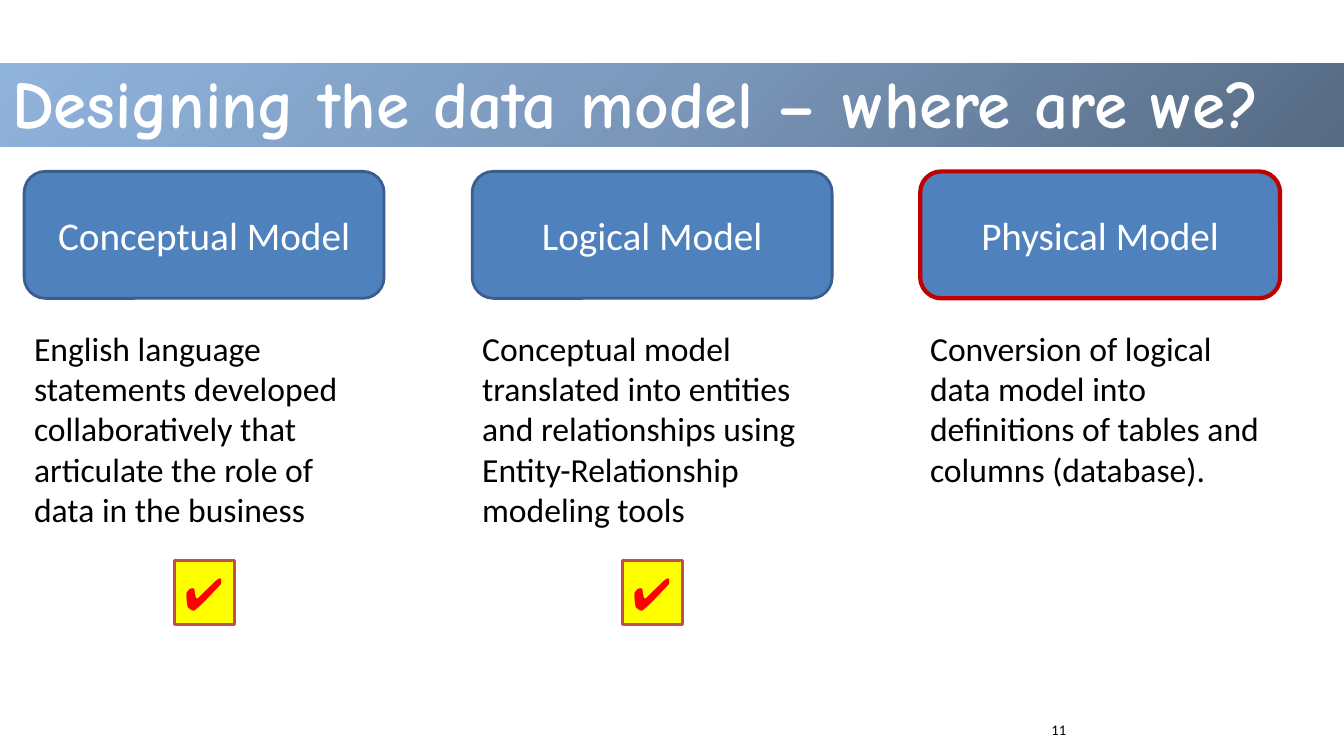
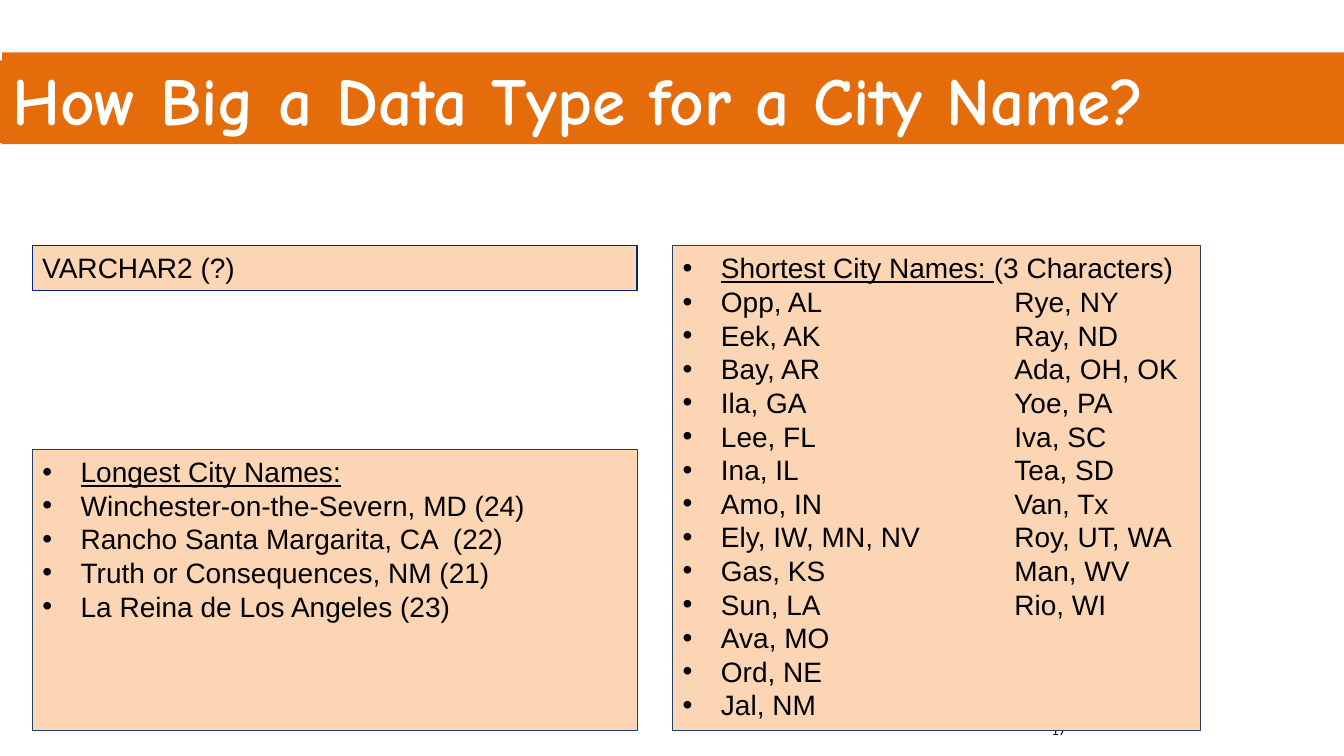
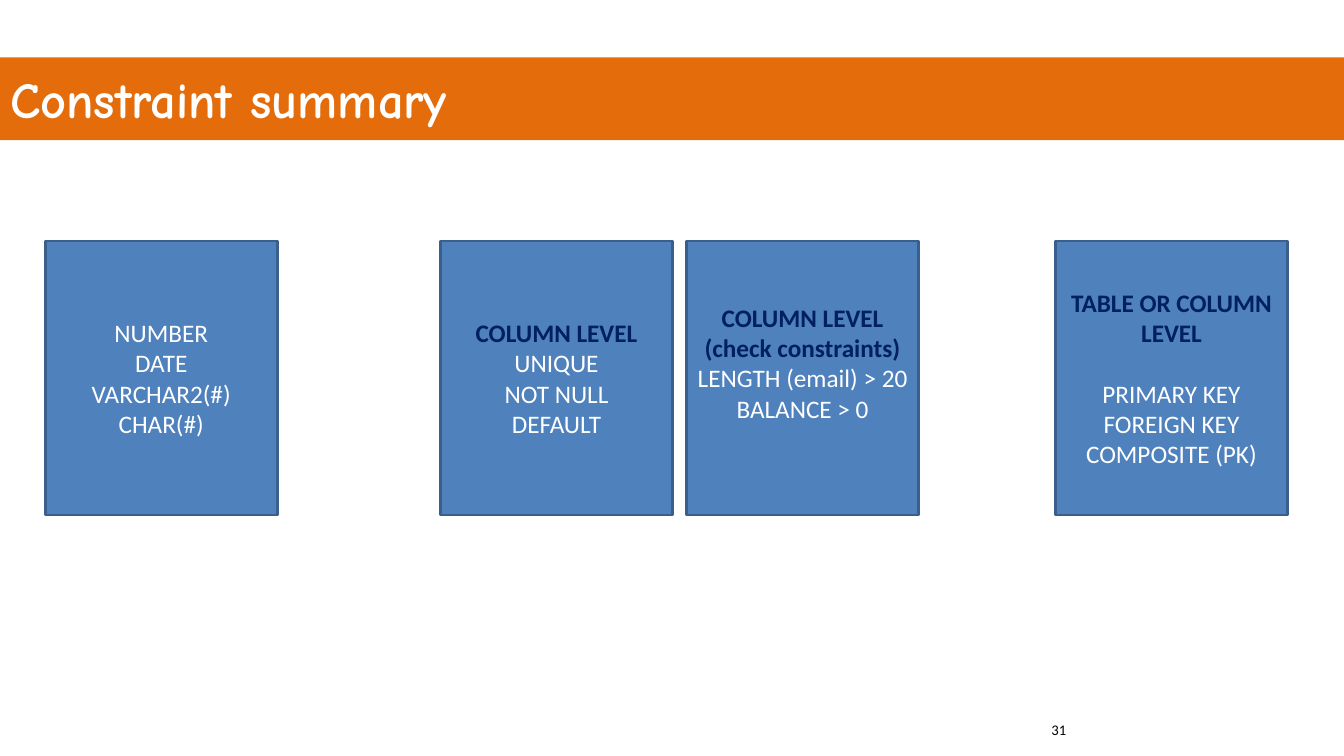
from collections import namedtuple

from pptx import Presentation
from pptx.dml.color import RGBColor
from pptx.enum.shapes import MSO_SHAPE
from pptx.enum.text import MSO_ANCHOR, MSO_AUTO_SIZE, PP_ALIGN
from pptx.oxml import parse_xml
from pptx.oxml.ns import nsdecls, qn
from pptx.util import Inches, Pt

RECT, ROUND = MSO_SHAPE.RECTANGLE, MSO_SHAPE.ROUNDED_RECTANGLE
TOP, MID = MSO_ANCHOR.TOP, MSO_ANCHOR.MIDDLE
LEFT, CENTER = PP_ALIGN.LEFT, PP_ALIGN.CENTER
FIXED = MSO_AUTO_SIZE.NONE

HUE = {
    "white": "FFFFFF", "black": "000000", "blue": "4F81BD", "edge": "3A5F8C",
    "mark": "C00000", "orange": "E46C0A", "peach": "FCD5B5", "slate": "254061",
    "navy": "002A7E", "ink": "002060", "yellow": "FFFF00", "brick": "C0504D",
    "red": "FF0000",
}
FADE = [(0, "566A83"), (50, "7A97BA"), (100, "90B3DC")]
HAND, SANS, PLAIN = "Comic Neue", "Calibri", "Arial"

Box = namedtuple("Box", "x y w h")
PAGE = Box(0, 0, Inches(13.33), Inches(7.5))
HANG = Inches(0.38)
TAB = Inches(3.29)
LINE = Pt(22)


def part(box, x, y, w, h):
    """Return the part of a box given by percentages of its size."""
    return Box(int(box.x + box.w * x / 100), int(box.y + box.h * y / 100),
               int(box.w * w / 100), int(box.h * h / 100))


def rgb(name):
    """Look up a palette colour."""
    return RGBColor.from_string(HUE[name])


def paint(shape, fill, line=None, width=1):
    """Set the fill and outline of a shape."""
    shape.fill.solid()
    shape.fill.fore_color.rgb = rgb(fill)
    if line:
        shape.line.color.rgb = rgb(line)
        shape.line.width = Pt(width)
    else:
        shape.line.fill.background()


def block(slide, box, fill, line=None, width=1, kind=RECT):
    """Add a flat preset shape."""
    shape = slide.shapes.add_shape(kind, *box)
    shape.shadow.inherit = False
    paint(shape, fill, line, width)
    return shape


def style(para, face, size, hue, bold=False, align=LEFT):
    """Format a whole paragraph."""
    para.alignment = align
    para.font.name = face
    para.font.size = Pt(size)
    para.font.bold = bold
    para.font.color.rgb = rgb(hue)


def write(shape, text, face, size, hue, bold=False, align=LEFT, anchor=TOP):
    """Put wrapped text of one style into a shape."""
    frame = shape.text_frame
    frame.text = text
    frame.word_wrap = True
    frame.auto_size = FIXED
    frame.vertical_anchor = anchor
    for para in frame.paragraphs:
        style(para, face, size, hue, bold, align)


def note(slide, box, text, size):
    """Add a plain black text box."""
    shape = slide.shapes.add_textbox(*box)
    write(shape, text, SANS, size, "black")
    return shape


def blend(shape):
    """Fill a shape with the blue fade from its lower right corner."""
    stops = "".join(f'<a:gs pos="{pos * 1000}"><a:srgbClr val="{hue}"/></a:gs>'
                    for pos, hue in FADE)
    shape.fill.background()
    old = shape.element.spPr.find(qn("a:noFill"))
    old.getparent().replace(old, parse_xml(
        f'<a:gradFill {nsdecls("a")} rotWithShape="1"><a:gsLst>{stops}</a:gsLst>'
        '<a:path path="circle"><a:fillToRect l="100000" t="100000"/></a:path>'
        '</a:gradFill>'))


def start(deck, layout, text, page, box, size=48, fill=None):
    """Add a slide with its title and page number."""
    slide = deck.slides.add_slide(deck.slide_layouts[layout])
    title = slide.shapes.title
    title.left, title.top, title.width, title.height = box
    write(title, text, HAND, size, "white", True, anchor=MID)
    if fill:
        paint(title, fill)
    num = note(slide, part(PAGE, 77.5, 94.7, 22.5, 5.3), page, 10.5)
    title.element.addnext(num.element)
    return slide


def band(slide, y):
    """Add a full-width band behind the title."""
    shape = block(slide, part(PAGE, 0, y, 100, 10.93), "orange")
    slide.shapes.title.element.addprevious(shape.element)
    return shape


def stage(slide, box, name, text, done):
    """Draw one model stage in its column."""
    line, width = ("edge", 2) if done else ("mark", 3)
    head = block(slide, part(box, 5.4, 22.67, 80.35, 16.8),
                 "blue", line, width, ROUND)
    write(head, name, SANS, 28, "white", align=CENTER, anchor=MID)
    note(slide, part(box, 5.4, 42.67, 80.35, 28.27), text, 24)
    if done:
        tick = block(slide, part(box, 38.94, 74.13, 13.5, 8.53),
                     "yellow", "brick", 2.25)
        write(tick, "✔️", PLAIN, 32, "red")


def roster(shape, box, head, rest, rows):
    """Fill a body placeholder with a bulleted list of cities."""
    shape.left, shape.top, shape.width, shape.height = box
    paint(shape, "peach", "slate", 0.75)
    write(shape, "\n".join([head + rest] + rows), PLAIN, 20, "black")
    for para in shape.text_frame.paragraphs:
        para.space_before = Pt(0)
        props = para.font and para._p.get_or_add_pPr()
        props.set("marL", str(HANG))
        props.set("indent", str(-HANG))
        if "\t" in para.text:
            props.find(qn("a:defRPr")).addprevious(parse_xml(
                f'<a:tabLst {nsdecls("a")}><a:tab pos="{TAB}" algn="l"/></a:tabLst>'))
    first = shape.text_frame.paragraphs[0]
    first.text = ""
    for text, under in ((head, True), (rest, False)):
        if text:
            run = first.add_run()
            run.text = text
            run.font.underline = under


def card(slide, box, head, rows, gap=0, tail=0):
    """Draw one box of constraints with an optional heading."""
    shape = block(slide, box, "blue", "edge", 2)
    write(shape, "\n".join(head + rows), SANS, 18, "white",
          align=CENTER, anchor=MID)
    frame = shape.text_frame
    frame.margin_bottom += tail
    for para in frame.paragraphs[:len(head)]:
        style(para, SANS, 18, "ink", True, CENTER)
        para.space_after = gap


def models(deck):
    """Build the slide of the three model stages."""
    slide = start(deck, 5, "Designing the data model – where are we?", "11",
                  part(PAGE, 0.15, 7.33, 99.85, 12.13))
    blend(band(slide, 8.4))
    stages = [
        ("Conceptual Model", "English language statements developed "
         "collaboratively that articulate the role of data in the business", True),
        ("Logical Model", "Conceptual model translated into entities and "
         "relationships using Entity-Relationship modeling tools", True),
        ("Physical Model", "Conversion of logical data model into definitions "
         "of tables and columns (database).", False),
    ]
    share = 100 / len(stages)
    for i, (name, text, done) in enumerate(stages):
        stage(slide, part(PAGE, i * share, 0, share, 100), name, text, done)


def cities(deck):
    """Build the slide of long and short city names."""
    slide = start(deck, 3, "How Big a Data Type for a City Name?", "17",
                  part(PAGE, 0.15, 6.93, 99.85, 12.13), fill="orange")
    band(slide, 8)
    kind = block(slide, part(PAGE, 2.4, 32.53, 45, 5.87), "peach", "navy", 0.75)
    write(kind, "VARCHAR2 (?)", PLAIN, 20, "black")
    roster(slide.placeholders[1], part(PAGE, 2.4, 59.47, 45, 37.2),
           "Longest City Names:", "", [
               "Winchester-on-the-Severn, MD (24)",
               "Rancho Santa Margarita, CA  (22)",
               "Truth or Consequences, NM (21)",
               "La Reina de Los Angeles (23)"])
    roster(slide.placeholders[2], part(PAGE, 50.04, 32.53, 39.31, 64.14),
           "Shortest City Names: ", "(3 Characters)", [
               "Opp, AL\tRye, NY", "Eek, AK\tRay, ND", "Bay, AR\tAda, OH, OK",
               "Ila, GA\tYoe, PA", "Lee, FL\tIva, SC", "Ina, IL\tTea, SD",
               "Amo, IN\tVan, Tx", "Ely, IW, MN, NV\tRoy, UT, WA",
               "Gas, KS\tMan, WV", "Sun, LA\tRio, WI",
               "Ava, MO", "Ord, NE", "Jal, NM"])


def limits(deck):
    """Build the slide that sums up the constraints."""
    slide = start(deck, 5, "Constraint summary", "31",
                  part(PAGE, 0, 7.6, 100, 10.93), 36, "orange")
    cards = [
        (3.37, [], ["NUMBER", "DATE", "VARCHAR2(#)", "CHAR(#)"], 0, 0),
        (32.78, ["COLUMN LEVEL"], ["UNIQUE", "NOT NULL", "DEFAULT"], 0, 0),
        (51.09, ["COLUMN LEVEL (check constraints)"],
         ["LENGTH (email) > 20", "BALANCE > 0"], 0, LINE),
        (78.54, ["TABLE OR COLUMN LEVEL"],
         ["PRIMARY KEY", "FOREIGN KEY", "COMPOSITE (PK)"], LINE, 0),
    ]
    for x, head, rows, gap, tail in cards:
        card(slide, part(PAGE, x, 31.87, 17.25, 36.27), head, rows, gap, tail)


def main():
    """Build and save the deck."""
    deck = Presentation()
    deck.slide_width, deck.slide_height = PAGE.w, PAGE.h
    models(deck)
    cities(deck)
    limits(deck)
    deck.save("out.pptx")


if __name__ == "__main__":
    main()
